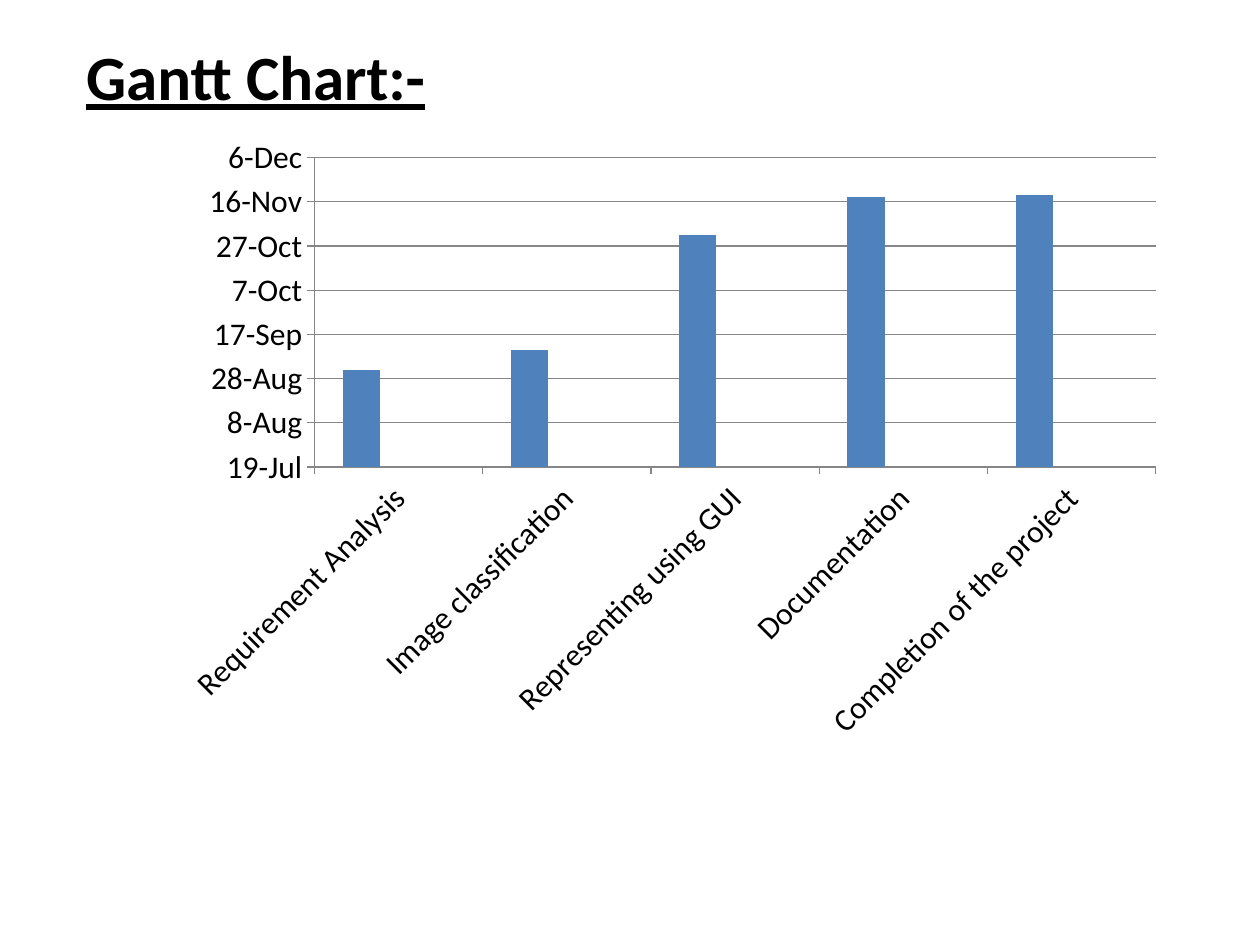
import pptx
import pptx.chart.data
import pptx.dml.color
import pptx.enum.chart
import pptx.enum.text
import pptx.util

Pt = pptx.util.Pt
COLORS = {"text": "000000", "axis": "868686", "Series 1": "4F81BD",
          "Series 2": "C0504D", "Series 3": "9BBB59"}
FONT = "Calibri"


def rgb(name):
    return pptx.dml.color.RGBColor.from_string(COLORS[name])


def format_font(font, **values):
    for name, value in values.items():
        setattr(font, name, value)
    font.color.rgb = rgb("text")


presentation = pptx.Presentation()
presentation.slide_width, presentation.slide_height = Pt(720), Pt(540)
slide = presentation.slides.add_slide(presentation.slide_layouts[5])

# Heading
title = slide.shapes.title
title.left, title.top, title.width, title.height = Pt(42), Pt(18), Pt(648), Pt(356)
text_frame = title.text_frame
text_frame.text = "Gantt Chart:-"
text_frame.auto_size = pptx.enum.text.MSO_AUTO_SIZE.NONE
text_frame.vertical_anchor = pptx.enum.text.MSO_ANCHOR.TOP
paragraph = text_frame.paragraphs[0]
paragraph.alignment = pptx.enum.text.PP_ALIGN.LEFT
format_font(paragraph.runs[0].font, name=FONT, size=Pt(36), bold=True, underline=True)

# End date of each phase, as a spreadsheet day number
end_dates = {
    "Requirement Analysis": 43344,
    "Image classification": 43353,
    "Representing using GUI": 43405,
    "Documentation": 43422,
    "Completion of the project": 43423,
}
chart_data = pptx.chart.data.CategoryChartData(number_format="d\\-mmm")
chart_data.categories = list(end_dates)
chart_data.add_series("Series 1", list(end_dates.values()))
for name in ("Series 2", "Series 3"):
    chart_data.add_series(name, [None] * len(end_dates))

chart = slide.shapes.add_chart(
    pptx.enum.chart.XL_CHART_TYPE.COLUMN_CLUSTERED,
    Pt(96), Pt(72), Pt(576), Pt(358), chart_data).chart
chart.has_legend = False
chart.has_title = False
format_font(chart.font, name=FONT, size=Pt(18))

plot = chart.plots[0]
plot.vary_by_categories = False
plot.gap_width = 150
plot.overlap = 0
for series in plot.series:
    series.format.fill.solid()
    series.format.fill.fore_color.rgb = rgb(series.name)

date_axis = chart.value_axis
date_axis.minimum_scale, date_axis.maximum_scale = 43300, 43440
date_axis.major_unit = 20
date_axis.has_major_gridlines = True
date_axis.tick_labels.number_format = "d\\-mmm"
date_axis.tick_labels.number_format_is_linked = False

phase_axis = chart.category_axis
# Slant the phase names upwards by 45 degrees
phase_axis.tick_labels.font.size = Pt(18)
phase_axis._element.txPr.bodyPr.set("rot", str(-45 * 60000))

for axis in (date_axis, phase_axis):
    axis.major_tick_mark = pptx.enum.chart.XL_TICK_MARK.OUTSIDE
    axis.minor_tick_mark = pptx.enum.chart.XL_TICK_MARK.NONE
for line in (date_axis.format.line, phase_axis.format.line,
             date_axis.major_gridlines.format.line):
    line.color.rgb = rgb("axis")
    line.width = Pt(0.75)

presentation.save("out.pptx")
